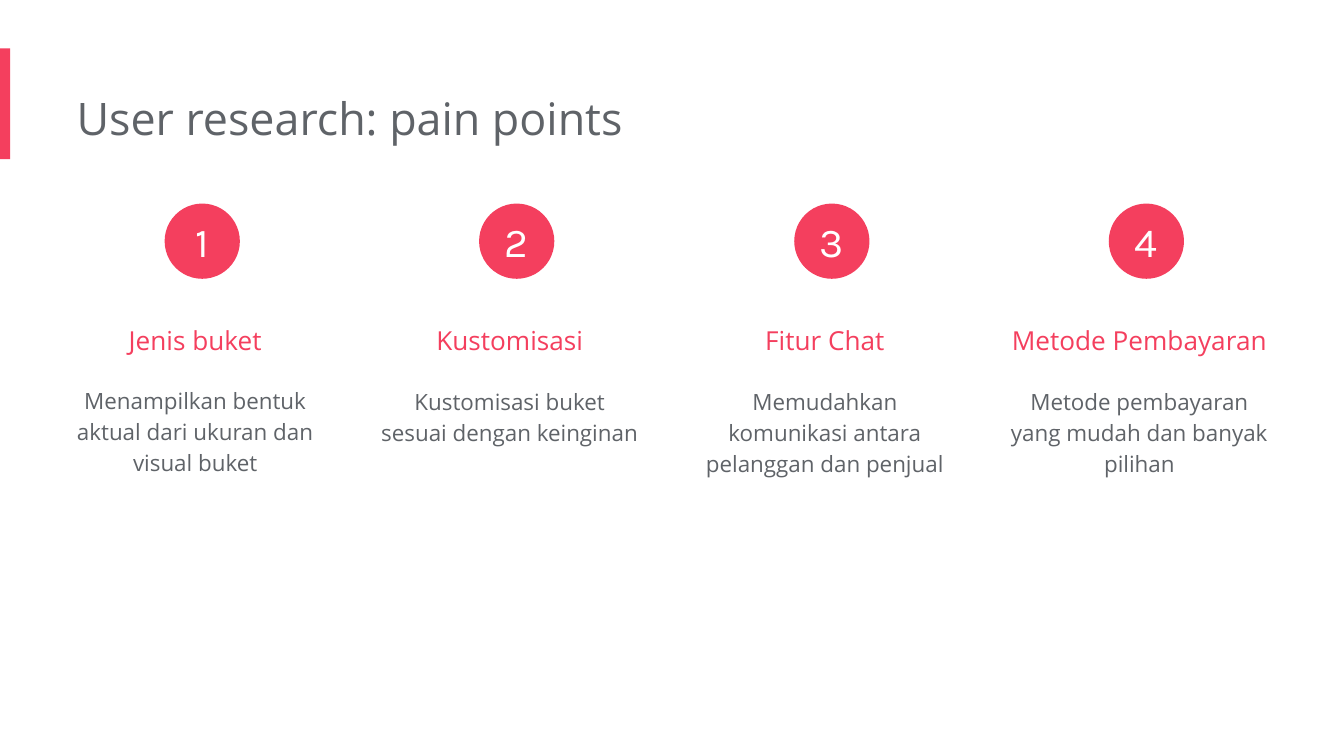
from pptx import Presentation
from pptx.dml.color import RGBColor
from pptx.enum.shapes import MSO_SHAPE as SHAPE
from pptx.enum.text import MSO_ANCHOR as ANCHOR, MSO_AUTO_SIZE as FIT, PP_ALIGN as ALIGN
from pptx.util import Emu, Pt

PX = 4572
COLORS = {"accent": "F43F5E", "text": "5F6368", "white": "FFFFFF"}
PAIN_POINTS = [
    ("Jenis buket", "Menampilkan bentuk aktual dari ukuran dan visual buket", 0, 550),
    ("Kustomisasi", "Kustomisasi buket sesuai dengan keinginan", 0, 552),
    ("Fitur Chat", "Memudahkan komunikasi antara pelanggan dan penjual", 0, 552),
    ("Metode Pembayaran", "Metode pembayaran yang mudah dan banyak pilihan", 28, 552),
]


def px(*values):
    return [Emu(v * PX) for v in values]


def rgb(name):
    return RGBColor.from_string(COLORS[name])


def write(tf, text, size=12, color="text", font="Open Sans", align=ALIGN.CENTER,
          spacing=None, insets=(0, 20, 20, 20), anchor=ANCHOR.TOP):
    tf.word_wrap = True
    tf.vertical_anchor = anchor
    tf.margin_left, tf.margin_top, tf.margin_right, tf.margin_bottom = px(*insets)
    p = tf.paragraphs[0]
    p.alignment = align
    p.line_spacing = spacing
    r = p.add_run()
    r.text = text
    r.font.size = Pt(size)
    r.font.name = font
    r.font.color.rgb = rgb(color)


class Deck:
    """Holds the slide and draws each kind of element in the shared style."""

    def __init__(self, prs):
        self.slide = prs.slides.add_slide(prs.slide_layouts[6])

    def shape(self, kind, x, y, w, h):
        sp = self.slide.shapes.add_shape(kind, *px(x, y, w, h))
        sp.shadow.inherit = False
        sp.fill.solid()
        sp.fill.fore_color.rgb = rgb("accent")
        sp.line.fill.background()
        return sp

    def badge(self, number, x, y, size):
        sp = self.shape(SHAPE.OVAL, x, y, size, size)
        write(sp.text_frame, str(number), size=22, color="white", font="Karla",
              insets=(0, 0, 0, 0), anchor=ANCHOR.MIDDLE)

    def text(self, text, x, y, w, h, **style):
        tf = self.slide.shapes.add_textbox(*px(x, y, w, h)).text_frame
        write(tf, text, **style)
        tf.auto_size = FIT.SHAPE_TO_FIT_TEXT


def main():
    prs = Presentation()
    prs.slide_width, prs.slide_height = px(2000, 1125)
    deck = Deck(prs)
    deck.shape(SHAPE.RECTANGLE, 0, 72, 15, 165)
    deck.text("User research: pain points", 114, 115, 1346, 122, size=24, align=ALIGN.LEFT)
    for i, (heading, body, extra, body_y) in enumerate(PAIN_POINTS):
        x = 96 + round(i * 468.3)
        deck.badge(i + 1, x + 149, 303, 112)
        deck.text(heading, x - extra, 440, 409 + 2 * extra, 112,
                  size=14, color="accent", spacing=1.5)
        deck.text(body, x, body_y, 409, 180, spacing=1.15)
    prs.save("out.pptx")


if __name__ == "__main__":
    main()
